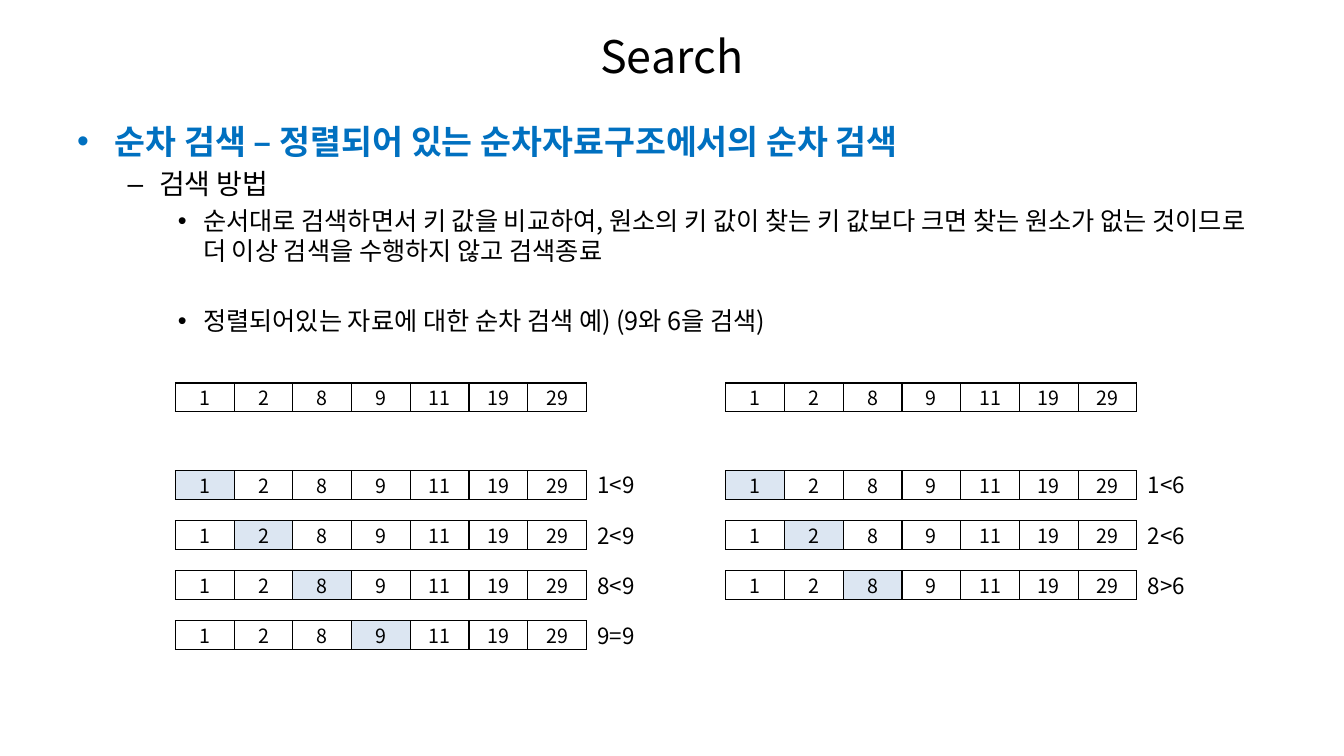
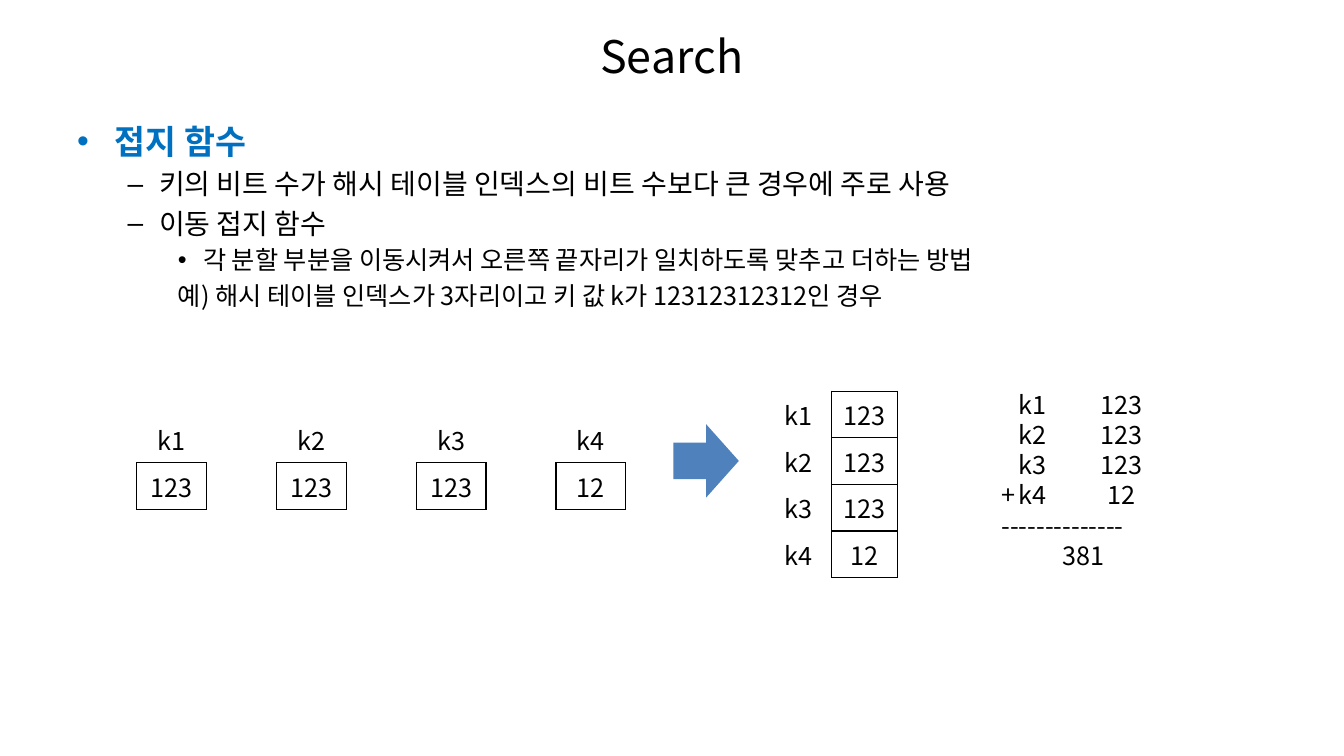
from dataclasses import dataclass

from lxml.etree import SubElement
from pptx import Presentation
from pptx.dml.color import RGBColor
from pptx.enum.shapes import MSO_SHAPE
from pptx.enum.text import MSO_ANCHOR, MSO_AUTO_SIZE, PP_ALIGN
from pptx.oxml.ns import qn
from pptx.util import Cm, Pt


@dataclass(frozen=True)
class Theme:
    """Colours, font and type sizes of the deck."""
    font: str = "Noto Sans CJK KR"
    ink: RGBColor = RGBColor(0, 0, 0)
    paper: RGBColor = RGBColor(255, 255, 255)
    heading: RGBColor = RGBColor(0x00, 0x70, 0xC0)
    visited: RGBColor = RGBColor(0xDC, 0xE6, 0xF2)
    arrow: RGBColor = RGBColor(0x4F, 0x81, 0xBD)
    title_size: int = 32
    level_sizes: tuple = (24, 20, 18)
    label_size: int = 16
    key_size: int = 14
    part_size: int = 18
    leading: float = 1.2


class Deck:
    """Holds the theme and the current slide, and draws on it."""

    NO_STYLE = "{2D5ABB26-0587-4C30-8999-92F81FD0307C}"
    SIDES = {"a:lnL": (0, -1), "a:lnR": (0, 1), "a:lnT": (-1, 0), "a:lnB": (1, 0)}

    def __init__(self, theme):
        """Start an empty wide presentation."""
        self.theme = theme
        self.presentation = Presentation()
        self.presentation.slide_width = Cm(33.87)
        self.presentation.slide_height = Cm(19.05)
        self.slide = None

    def style(self, paragraph, size, color=None, bold=False):
        """Set the font of a whole paragraph."""
        font = paragraph.font
        font.size, font.bold, font.name = Pt(size), bold, self.theme.font
        font.color.rgb = color or self.theme.ink
        properties = paragraph._p.get_or_add_pPr().find(qn("a:defRPr"))
        SubElement(properties, qn("a:ea"), typeface=self.theme.font)

    def place(self, shape, left, top, width, height):
        """Move a shape, in centimetres."""
        shape.left, shape.top = Cm(left), Cm(top)
        shape.width, shape.height = Cm(width), Cm(height)

    def add_slide(self, title, outline):
        """Add a slide with a title and (level, text) outline items."""
        self.slide = self.presentation.slides.add_slide(self.presentation.slide_layouts[1])
        heading, body = self.slide.placeholders
        self.place(heading, 1.69, 0.33, 30.48, 2.16)
        heading.text_frame.text = title
        self.style(heading.text_frame.paragraphs[0], self.theme.title_size)
        self.place(body, 1.69, 2.92, 30.48, 14.4)
        frame = body.text_frame
        frame.auto_size = MSO_AUTO_SIZE.NONE
        frame.text = "\n".join(text for _, text in outline)
        for paragraph, (level, _) in zip(frame.paragraphs, outline):
            size = self.theme.level_sizes[level]
            paragraph.level = level
            paragraph.line_spacing = Pt(size * self.theme.leading)
            color = self.theme.ink if level else self.theme.heading
            self.style(paragraph, size, color, bold=level == 0)
        return frame.paragraphs

    def add_text(self, lines, left, top, width, height, size):
        """Add a text box of (text, tab stops) lines."""
        frame = self.slide.shapes.add_textbox(Cm(left), Cm(top), Cm(width), Cm(height)).text_frame
        frame.word_wrap = True
        frame.text = "\n".join(text for text, _ in lines)
        for paragraph, (_, stops) in zip(frame.paragraphs, lines):
            paragraph.line_spacing = Pt(size * self.theme.leading)
            if stops:
                tabs = SubElement(paragraph._p.get_or_add_pPr(), qn("a:tabLst"))
                for position, alignment in stops:
                    SubElement(tabs, qn("a:tab"), pos=str(Cm(position)), algn=alignment)
            self.style(paragraph, size)

    def add_grid(self, rows, left, top, cell_width, cell_height, size, boxed, marked=None, inset=None):
        """Add a table that outlines boxed cells and tints the marked one."""
        columns = len(rows[0])
        graphic = self.slide.shapes.add_table(
            len(rows), columns, Cm(left), Cm(top),
            Cm(cell_width * columns), Cm(cell_height * len(rows)))
        table = graphic.table
        table.first_row = table.horz_banding = False
        table._tbl.tblPr.find(qn("a:tableStyleId")).text = self.NO_STYLE
        for r, row in enumerate(rows):
            for c, text in enumerate(row):
                cell = table.cell(r, c)
                self.outline(cell, r, c, boxed)
                cell.fill.solid()
                cell.fill.fore_color.rgb = self.theme.visited if (r, c) == marked else self.theme.paper
                cell.vertical_anchor = MSO_ANCHOR.MIDDLE
                if inset is not None:
                    cell.margin_left = cell.margin_right = Cm(inset)
                    cell.margin_top = cell.margin_bottom = Cm(inset)
                cell.text = text
                paragraph = cell.text_frame.paragraphs[0]
                paragraph.alignment = PP_ALIGN.CENTER
                self.style(paragraph, size)

    def outline(self, cell, r, c, boxed):
        """Draw each cell side that touches a boxed cell."""
        properties = cell._tc.get_or_add_tcPr()
        for side, (down, right) in self.SIDES.items():
            if boxed & {(r, c), (r + down, c + right)}:
                line = SubElement(properties, qn(side), w=str(Pt(1)))
                fill = SubElement(line, qn("a:solidFill"))
                SubElement(fill, qn("a:srgbClr"), val=str(self.theme.ink))

    def add_arrow(self, left, top, width, height):
        """Add a block arrow that points right."""
        arrow = self.slide.shapes.add_shape(
            MSO_SHAPE.RIGHT_ARROW, Cm(left), Cm(top), Cm(width), Cm(height))
        arrow.shadow.inherit = False
        arrow.fill.solid()
        arrow.fill.fore_color.rgb = self.theme.arrow
        arrow.line.fill.background()


def add_sequential_search(deck):
    """Show the search for 9 and for 6 in sorted keys."""
    outline = deck.add_slide("Search", [
        (0, "순차 검색 – 정렬되어 있는 순차자료구조에서의 순차 검색"),
        (1, "검색 방법"),
        (2, "순서대로 검색하면서 키 값을 비교하여, 원소의 키 값이 찾는 키 값보다 크면 "
            "찾는 원소가 없는 것이므로 더 이상 검색을 수행하지 않고 검색종료"),
        (2, "정렬되어있는 자료에 대한 순차 검색 예) (9와 6을 검색)"),
    ])
    outline[-1].space_before = Pt(28)
    keys = ["1", "2", "8", "9", "11", "19", "29"]
    boxed = {(0, c) for c in range(len(keys))}
    key_width, key_height = 1.48, 0.72
    searches = {4.42: ["1<9", "2<9", "8<9", "9=9"], 18.29: ["1<6", "2<6", "8>6"]}

    def add_keys(left, top, marked=None):
        """Draw the sorted keys once."""
        deck.add_grid([keys], left, top, key_width, key_height,
                      deck.theme.key_size, boxed, marked, inset=0)

    for left, comparisons in searches.items():
        add_keys(left, 9.65)
        for step, comparison in enumerate(comparisons):
            top = 11.86 + 1.26 * step
            add_keys(left, top, (0, step))
            deck.add_text([(comparison, ())], left + key_width * len(keys) + 0.03,
                          top - 0.1, 2.1, 0.94, deck.theme.label_size)


def add_folding(deck):
    """Show how shift folding adds the parts of a key."""
    outline = deck.add_slide("Search", [
        (0, "접지 함수"),
        (1, "키의 비트 수가 해시 테이블 인덱스의 비트 수보다 큰 경우에 주로 사용"),
        (1, "이동 접지 함수"),
        (2, "각 분할 부분을 이동시켜서 오른쪽 끝자리가 일치하도록 맞추고 더하는 방법"),
        (2, "예) 해시 테이블 인덱스가 3자리이고 키 값 k가 12312312312인 경우"),
    ])
    example = outline[-1]._p.get_or_add_pPr()
    example.set("marL", str(Cm(2.54)))
    example.set("indent", "0")
    example.insert_element_before(example.makeelement(qn("a:buNone")), "a:tabLst", "a:defRPr")

    parts = {"k1": "123", "k2": "123", "k3": "123", "k4": "12"}
    columns = 2 * len(parts) - 1
    spread = [[""] * columns, [""] * columns]
    spread[0][::2], spread[1][::2] = parts.keys(), parts.values()
    size, row_height = deck.theme.part_size, 1.03
    deck.add_grid(spread, 3.45, 10.49, 1.76, row_height, size,
                  {(1, c) for c in range(0, columns, 2)})
    deck.add_grid(list(parts.items()), 19.3, 9.86, 1.66, row_height, size,
                  {(r, 1) for r in range(len(parts))})
    addend_stops = ((0.43, "l"), (3.02, "ctr"))
    addends = [(f"{'+' if name == 'k4' else ''}\t{name}\t{value}", addend_stops)
               for name, value in parts.items()]
    total = [("-" * 14, ()), ("\t381", ((2.07, "ctr"),))]
    deck.add_text(addends + total, 24.99, 9.68, 4.55, 4.88, size)
    deck.add_arrow(16.97, 10.69, 1.65, 1.85)


def main():
    """Build and save the deck."""
    deck = Deck(Theme())
    add_sequential_search(deck)
    add_folding(deck)
    deck.presentation.save("out.pptx")


if __name__ == "__main__":
    main()
